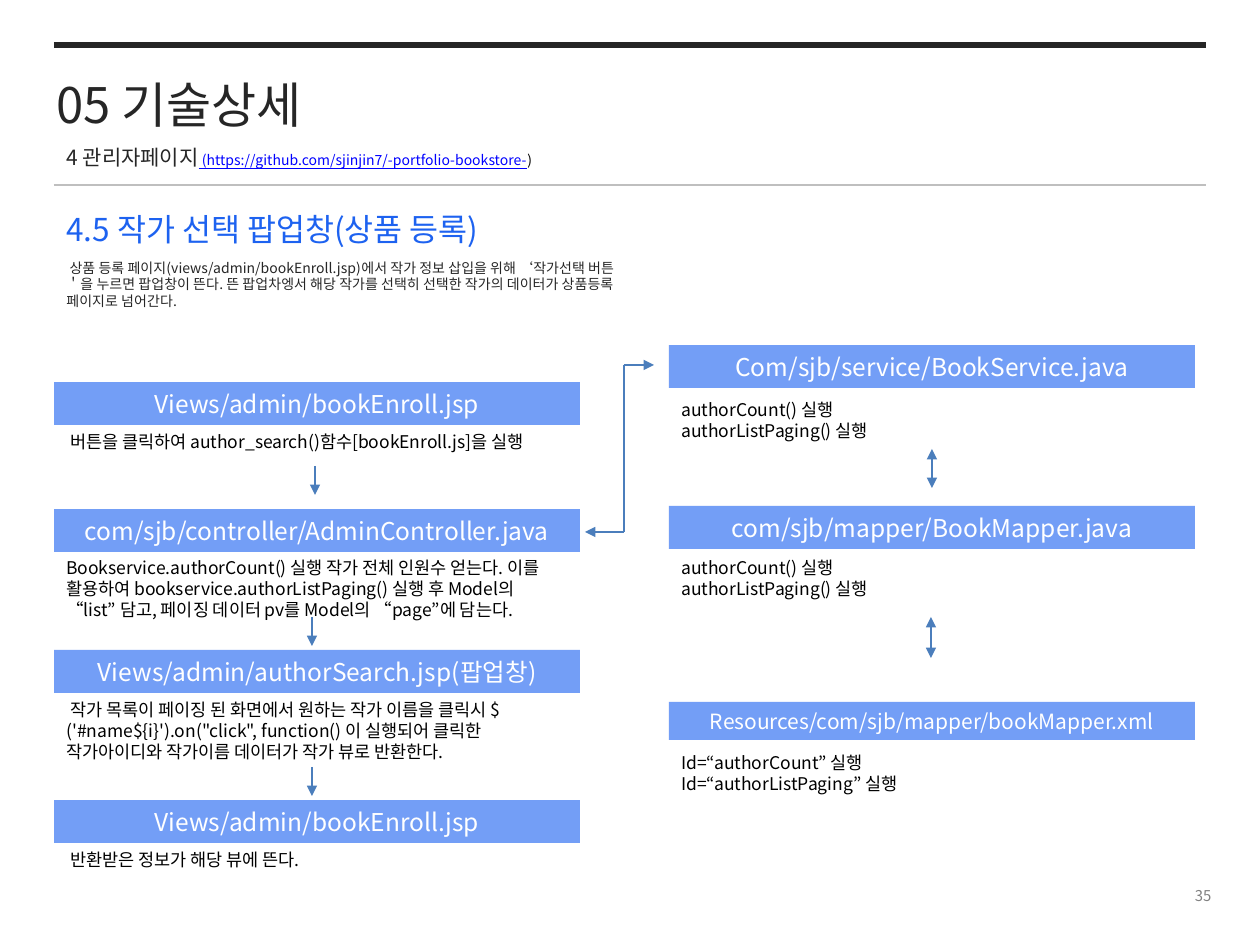
from dataclasses import dataclass

from pptx import Presentation, util as u
from pptx.dml.color import RGBColor
from pptx.enum import shapes, text
from pptx.oxml import ns, xmlchemy

PX = 914400 / 126


@dataclass(frozen=True)
class Theme:
    font: str = "Noto Sans CJK KR"
    ink: str = "262626"
    black: str = "000000"
    white: str = "FFFFFF"
    gray: str = "808080"
    rule: str = "BFBFBF"
    heading: str = "1D62F0"
    bar: str = "739EF6"
    arrow: str = "4B7EBC"
    link: str = "0000FF"
    title_size: float = 28
    heading_size: float = 18
    bar_size: float = 14
    small_bar_size: float = 12
    note_size: float = 10
    small_size: float = 8
    number_size: float = 8.5


THEME = Theme()
LEFT_COLUMN, RIGHT_COLUMN, COLUMN_WIDTH = 54, 669, 526
RULE_LEFT, RULE_RIGHT = 54, 1206

LEFT_STEPS = [
    (382, 43, "Views/admin/bookEnroll.jsp", THEME.bar_size, 425, 34,
     [" 버튼을 클릭하여 author_search()함수[bookEnroll.js]을 실행"]),
    (509, 43, "com/sjb/controller/AdminController.java", THEME.bar_size, 551, 77,
     ["Bookservice.authorCount() 실행 작가 전체 인원수 얻는다. 이를 활용하여 "
      "bookservice.authorListPaging() 실행 후 Model의 “list” 담고, "
      "페이징 데이터 pv를 Model의 “page”에 담는다."]),
    (650, 43, "Views/admin/authorSearch.jsp(팝업창)", THEME.bar_size, 693, 77,
     [" 작가 목록이 페이징 된 화면에서 원하는 작가 이름을 클릭시 "
      "$('#name${i}').on(\"click\", function() 이 실행되어 클릭한 "
      "작가아이디와 작가이름 데이터가 작가 뷰로 반환한다."]),
    (800, 43, "Views/admin/bookEnroll.jsp", THEME.bar_size, 843, 55,
     [" 반환받은 정보가 해당 뷰에 뜬다."]),
]
CALLS = ["authorCount() 실행", "authorListPaging() 실행"]
RIGHT_STEPS = [
    (345, 43, "Com/sjb/service/BookService.java", THEME.bar_size, 393, 55, CALLS),
    (506, 43, "com/sjb/mapper/BookMapper.java", THEME.bar_size, 551, 55, CALLS),
    (702, 38, "Resources/com/sjb/mapper/bookMapper.xml", THEME.small_bar_size, 746, 97,
     ["Id=“authorCount” 실행", "Id=“authorListPaging” 실행"]),
]


def px(value):
    return u.Emu(round(value * PX))


def color(value):
    return RGBColor.from_string(value)


def style(paragraph, size, ink, align=text.PP_ALIGN.LEFT):
    paragraph.alignment = align
    paragraph.font.size = u.Pt(size)
    paragraph.font.color.rgb = color(ink)
    paragraph.font.name = THEME.font
    for latin in paragraph._p.iter(ns.qn("a:latin")):
        east_asian = xmlchemy.OxmlElement("a:ea")
        east_asian.set("typeface", THEME.font)
        latin.addnext(east_asian)


def write(shape, lines, size, ink, align=text.PP_ALIGN.LEFT, anchor=text.MSO_ANCHOR.TOP):
    frame = shape.text_frame
    frame.word_wrap = True
    frame.auto_size = text.MSO_AUTO_SIZE.NONE
    frame.vertical_anchor = anchor
    frame.text = "\n".join(lines)
    for paragraph in frame.paragraphs:
        style(paragraph, size, ink, align)


def add_text(slide, box, lines, size, ink, **layout):
    shape = slide.shapes.add_textbox(*map(px, box))
    write(shape, lines, size, ink, **layout)
    return shape


def add_title(slide, box, title):
    shape = slide.shapes.title
    shape.left, shape.top, shape.width, shape.height = map(px, box)
    write(shape, [title], THEME.title_size, THEME.ink)


def add_subtitle(slide, box):
    shape = add_text(slide, box, ["4 관리자페이지"], THEME.heading_size, THEME.ink)
    paragraph = shape.text_frame.paragraphs[0]
    paragraph.line_spacing = u.Pt(16)
    paragraph.font.size = u.Pt(12)
    parts = [(" (https://github.com/sjinjin7/-portfolio-bookstore-", THEME.link, True),
             (")", THEME.black, False)]
    for content, ink, underline in parts:
        run = paragraph.add_run()
        run.text = content
        run.font.size = u.Pt(THEME.small_size)
        run.font.color.rgb = color(ink)
        run.font.underline = underline


def add_bar(slide, box, label, size):
    shape = slide.shapes.add_shape(shapes.MSO_SHAPE.RECTANGLE, *map(px, box))
    shape.shadow.inherit = False
    shape.fill.solid()
    shape.fill.fore_color.rgb = color(THEME.bar)
    shape.line.fill.background()
    write(shape, [label], size, THEME.white, text.PP_ALIGN.CENTER, text.MSO_ANCHOR.MIDDLE)


def add_steps(slide, left, steps):
    for top, height, label, size, note_top, note_height, notes in steps:
        add_bar(slide, (left, top, COLUMN_WIDTH, height), label, size)
        add_text(slide, (left, note_top, COLUMN_WIDTH, note_height), notes,
                 THEME.note_size, THEME.black)


def add_line(slide, start, end, ink=THEME.arrow, width=0.75, heads=()):
    line = slide.shapes.add_connector(shapes.MSO_CONNECTOR.STRAIGHT, *map(px, start + end))
    line.line.color.rgb = color(ink)
    line.line.width = u.Pt(width)
    for tag in heads:
        arrowhead = xmlchemy.OxmlElement(tag)
        arrowhead.set("type", "triangle")
        line.line._get_or_add_ln().append(arrowhead)
    line._element.spPr.append(xmlchemy.OxmlElement("a:effectLst"))


def add_arrows(slide):
    forward = ("a:tailEnd",)
    both = ("a:headEnd", "a:tailEnd")
    for x, top, bottom, heads in [
        (315, 466, 495, forward), (312, 617, 646, forward), (312, 767, 796, forward),
        (932, 449, 488, both), (931, 617, 658, both),
    ]:
        add_line(slide, (x, top), (x, bottom), heads=heads)
    upper, lower = (624, 365), (624, 532)
    add_line(slide, upper, lower)
    add_line(slide, lower, (585, 532), heads=forward)
    add_line(slide, upper, (654, 365), heads=forward)


def main():
    presentation = Presentation()
    presentation.slide_width, presentation.slide_height = px(1260), px(945)
    slide = presentation.slides.add_slide(presentation.slide_layouts[5])

    add_line(slide, (RULE_LEFT, 45), (RULE_RIGHT, 45), THEME.ink, 3)
    add_line(slide, (RULE_LEFT, 185), (RULE_RIGHT, 185), THEME.rule)
    add_title(slide, (44, 68, 953, 72), "05 기술상세")
    add_subtitle(slide, (54, 136, 953, 67))
    add_text(slide, (54, 204, 784, 50), ["4.5 작가 선택 팝업창(상품 등록)"],
             THEME.heading_size, THEME.heading)
    add_text(slide, (54, 253, 586, 63),
             [" 상품 등록 페이지(views/admin/bookEnroll.jsp)에서 작가 정보 삽입을 위해 "
              "‘작가선택 버튼＇을 누르면 팝업창이 뜬다. 뜬 팝업차엥서 해당 작가를 선택히 "
              "선택한 작가의 데이터가 상품등록 페이지로 넘어간다."],
             THEME.small_size, THEME.ink)
    add_steps(slide, LEFT_COLUMN, LEFT_STEPS)
    add_steps(slide, RIGHT_COLUMN, RIGHT_STEPS)
    add_arrows(slide)
    add_text(slide, (958, 879, 266, 34), ["35"], THEME.number_size, THEME.gray,
             align=text.PP_ALIGN.RIGHT, anchor=text.MSO_ANCHOR.MIDDLE)

    presentation.save("out.pptx")


if __name__ == "__main__":
    main()
